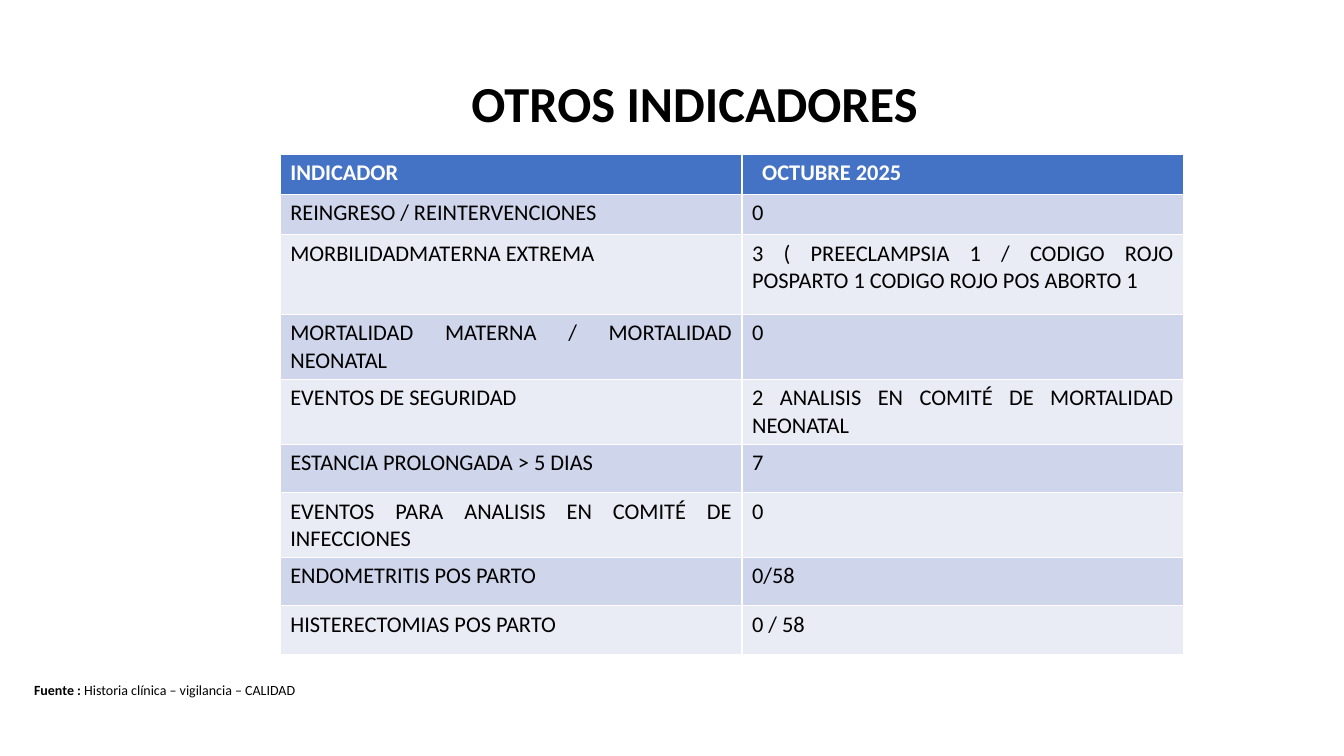
from pptx import Presentation
from pptx import util as u
from pptx.dml.color import RGBColor
from pptx.enum import text


def style(paragraph, size, color, bold):
    for run in paragraph.runs:
        run.font.name = "Calibri"
        run.font.size = u.Pt(size)
        run.font.bold = bold
        run.font.color.rgb = RGBColor.from_string(color)


deck = Presentation()
deck.slide_width, deck.slide_height = u.Inches(13.33), u.Inches(7.5)
slide = deck.slides.add_slide(deck.slide_layouts[6])

indicators = [
    ("INDICADOR", "OCTUBRE 2025", 0.4),
    ("REINGRESO / REINTERVENCIONES", "0", 0.4),
    ("MORBILIDADMATERNA EXTREMA",
     "3 ( PREECLAMPSIA 1 / CODIGO ROJO POSPARTO 1 CODIGO ROJO POS ABORTO 1", 0.79),
    ("MORTALIDAD MATERNA / MORTALIDAD NEONATAL", "0", 0.64),
    ("EVENTOS DE SEGURIDAD", "2 ANALISIS EN COMITÉ DE MORTALIDAD NEONATAL", 0.64),
    ("ESTANCIA PROLONGADA > 5 DIAS", "7", 0.48),
    ("EVENTOS PARA ANALISIS EN COMITÉ DE INFECCIONES", "0", 0.64),
    ("ENDOMETRITIS POS PARTO", "0/58", 0.48),
    ("HISTERECTOMIAS POS PARTO", "0 / 58", 0.48),
]
column_widths = [4.58, 4.38]
table_height = sum(height for _, _, height in indicators)
table = slide.shapes.add_table(
    len(indicators), len(column_widths), u.Inches(2.78), u.Inches(1.53),
    u.Inches(sum(column_widths)), u.Inches(table_height)).table
for column, width in zip(table.columns, column_widths):
    column.width = u.Inches(width)

for row, (indicator, result, height) in enumerate(indicators):
    table.rows[row].height = u.Inches(height)
    heading = row == 0
    band = "4472C4" if heading else ("E9EBF5", "CFD5EA")[row % 2]
    for col, wording in enumerate((indicator, result)):
        cell = table.cell(row, col)
        cell.fill.solid()
        cell.fill.fore_color.rgb = RGBColor.from_string(band)
        cell.text_frame.text = wording
        paragraph = cell.text_frame.paragraphs[0]
        paragraph.alignment = text.PP_ALIGN.JUSTIFY
        style(paragraph, 16, "FFFFFF" if heading else "000000", heading)
table.cell(0, 1).margin_left = u.Inches(0.2)

title = slide.shapes.add_textbox(
    u.Inches(2.27), 0, u.Inches(9.24), u.Inches(2.1)).text_frame
title.word_wrap = True
title.vertical_anchor = text.MSO_ANCHOR.MIDDLE
title.text = "OTROS INDICADORES"
title.paragraphs[0].alignment = text.PP_ALIGN.CENTER
title.paragraphs[0].line_spacing = 0.9
style(title.paragraphs[0], 36, "000000", True)

source = slide.shapes.add_textbox(
    u.Inches(0.24), u.Inches(6.71), u.Inches(8.27), u.Inches(0.27)).text_frame
source.word_wrap = True
source.auto_size = text.MSO_AUTO_SIZE.SHAPE_TO_FIT_TEXT
source.text = "Fuente : "
citation = source.paragraphs[0]
citation.add_run().text = "Historia clínica – vigilancia – CALIDAD"
style(citation, 10, "000000", False)
citation.runs[0].font.bold = True

deck.save("out.pptx")
